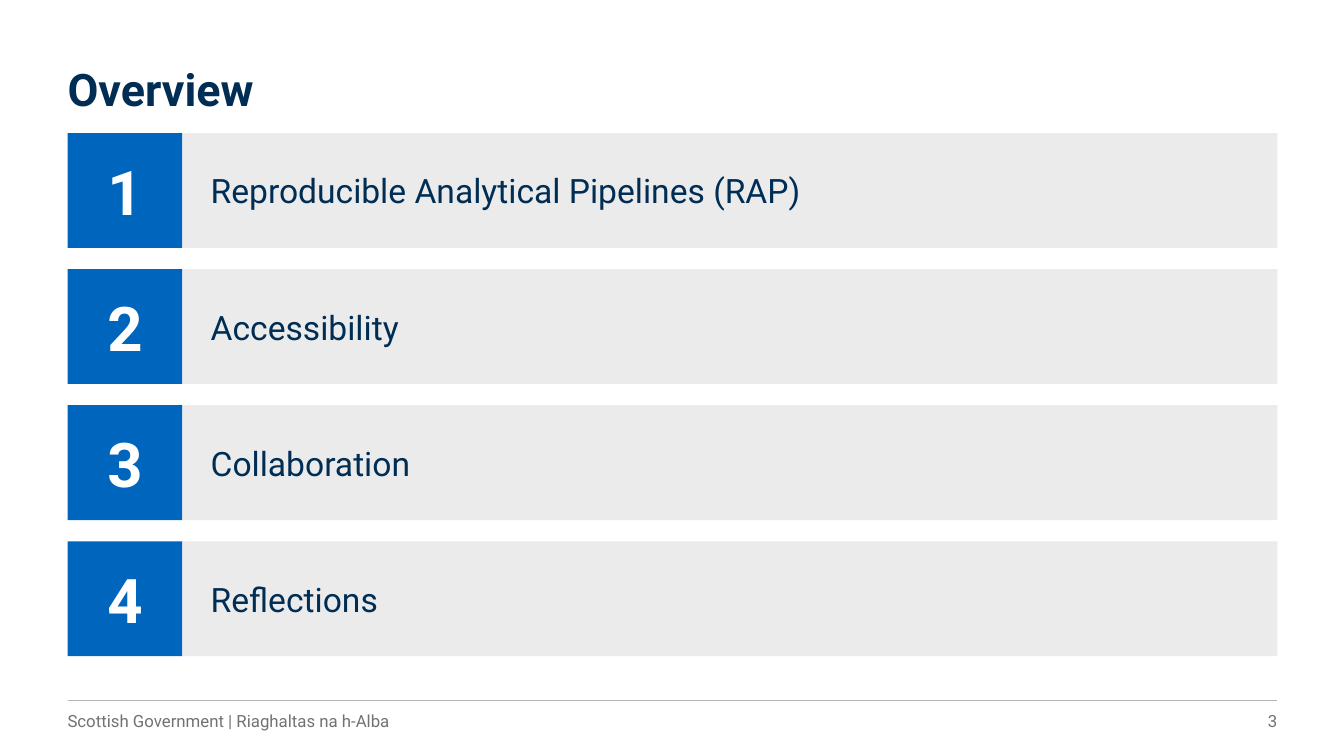
from pptx import Presentation
from pptx.dml.color import RGBColor
from pptx.enum.shapes import MSO_CONNECTOR as Connector, MSO_SHAPE as Preset
from pptx.enum.text import MSO_ANCHOR as Anchor, MSO_AUTO_SIZE as AutoSize, PP_ALIGN as Align
from pptx.oxml.ns import qn
from pptx.util import Inches, Pt

NAVY, BLUE, PALE, WHITE = "002D54", "0065BD", "EBEBEB", "FFFFFF"
RULE, GREY = "B3B3B3", "727272"
LEFT, WIDTH = 0.67, 12
FIRST_ROW, ROW_PITCH, ROW_HEIGHT = 1.32, 1.35, 1.14
FOOTER_TOP, FOOTER_HEIGHT = 6.95, 0.4
TOPICS = [
    "Reproducible Analytical Pipelines (RAP)",
    "Accessibility",
    "Collaboration",
    "Reflections",
]


def color(value):
    return RGBColor.from_string(value)


def set_attributes(target, values):
    for name, value in values.items():
        setattr(target, name, value)


def write(shape, text, size, ink, bold=False, align=Align.LEFT,
          anchor=Anchor.MIDDLE, insets=(0, 0, 0, 0)):
    """Fill a shape with one formatted paragraph; insets run left, top, right, bottom."""
    frame = shape.text_frame
    sides = ("margin_left", "margin_top", "margin_right", "margin_bottom")
    set_attributes(frame, dict(zip(sides, map(Inches, insets))))
    set_attributes(frame, {"word_wrap": True, "auto_size": AutoSize.NONE,
                           "vertical_anchor": anchor})
    para = frame.paragraphs[0]
    para.alignment = align
    span = para.add_run()
    span.text = text
    set_attributes(span.font, {"name": "Roboto", "size": Pt(size), "bold": bold})
    span.font.color.rgb = color(ink)
    return para


def add_title(page, text):
    title = page.shapes.title
    place = {"left": LEFT, "top": 0.67, "width": WIDTH, "height": 0.48}
    set_attributes(title, {side: Inches(value) for side, value in place.items()})
    para = write(title, text, 32, NAVY, bold=True, anchor=Anchor.TOP)
    para.line_spacing = 0.9


def add_block(page, left, top, width, fill):
    block = page.shapes.add_shape(
        Preset.RECTANGLE, *map(Inches, (left, top, width, ROW_HEIGHT)))
    block.shadow.inherit = False
    block.fill.solid()
    block.fill.fore_color.rgb = color(fill)
    block.line.fill.background()
    return block


def add_topic(page, number, text):
    top = FIRST_ROW + (number - 1) * ROW_PITCH
    badge = add_block(page, LEFT, top, ROW_HEIGHT, BLUE)
    write(badge, str(number), 44, WHITE, bold=True, align=Align.CENTER)
    bar = add_block(page, LEFT + ROW_HEIGHT, top, WIDTH - ROW_HEIGHT, PALE)
    write(bar, text, 24, NAVY, insets=(0.28, 0.16, 0.28, 0.16))


def add_footer_rule(page):
    ends = map(Inches, (LEFT, FOOTER_TOP, LEFT + WIDTH, FOOTER_TOP))
    rule = page.shapes.add_connector(Connector.STRAIGHT, *ends)
    rule.line.color.rgb = color(RULE)
    rule.line.width = Pt(0.75)
    properties = rule._element.spPr
    properties.append(properties.makeelement(qn("a:effectLst"), {}))


def add_footer_text(page, text, left, width, align, insets):
    box = page.shapes.add_textbox(
        *map(Inches, (left, FOOTER_TOP, width, FOOTER_HEIGHT)))
    write(box, text, 12, GREY, align=align, insets=insets)


def main():
    deck = Presentation()
    deck.slide_width, deck.slide_height = Inches(13.33), Inches(7.5)
    page = deck.slides.add_slide(deck.slide_layouts.get_by_name("Title Only"))
    add_footer_rule(page)
    add_title(page, "Overview")
    for number, topic in enumerate(TOPICS, 1):
        add_topic(page, number, topic)
    add_footer_text(page, "Scottish Government | Riaghaltas na h-Alba",
                    LEFT, 9.93, Align.LEFT, (0, 0.05, 0.1, 0.05))
    add_footer_text(page, "3", LEFT + WIDTH - 1.63, 1.63,
                    Align.RIGHT, (0.1, 0.05, 0, 0.05))
    deck.save("out.pptx")


if __name__ == "__main__":
    main()
